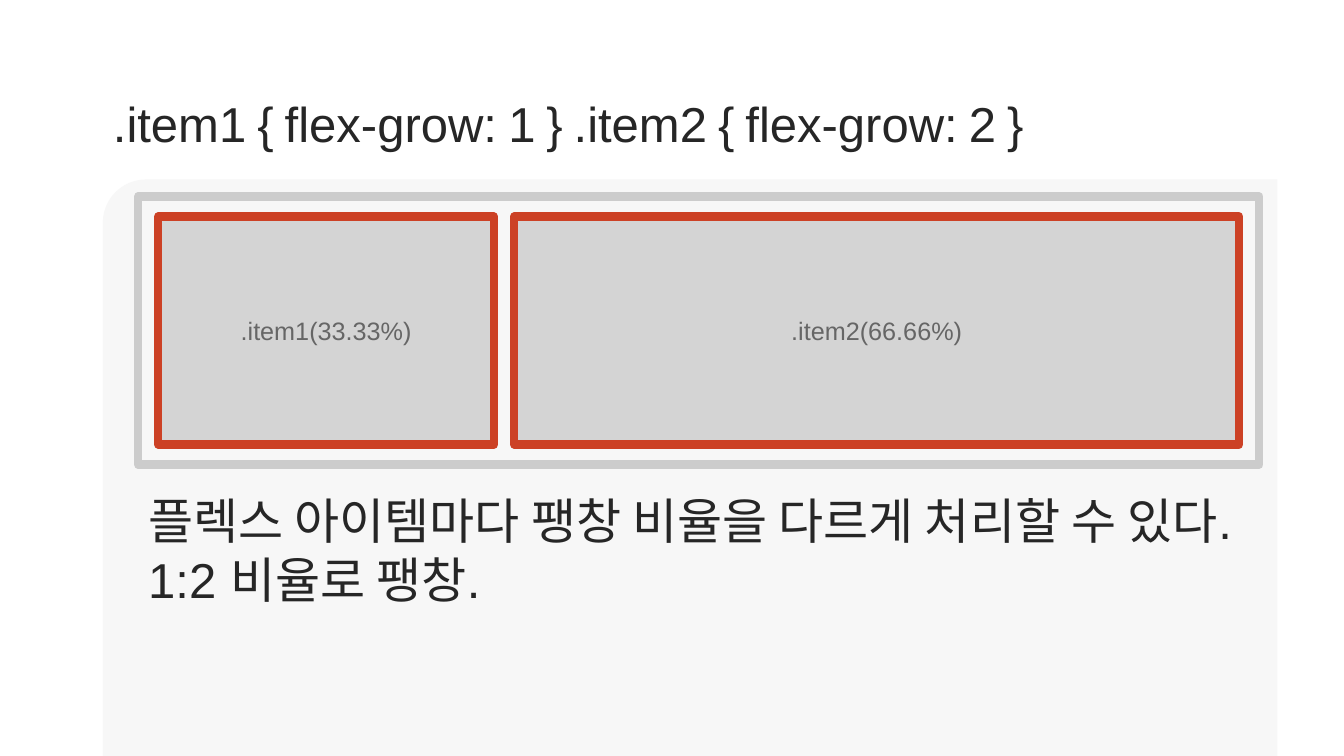
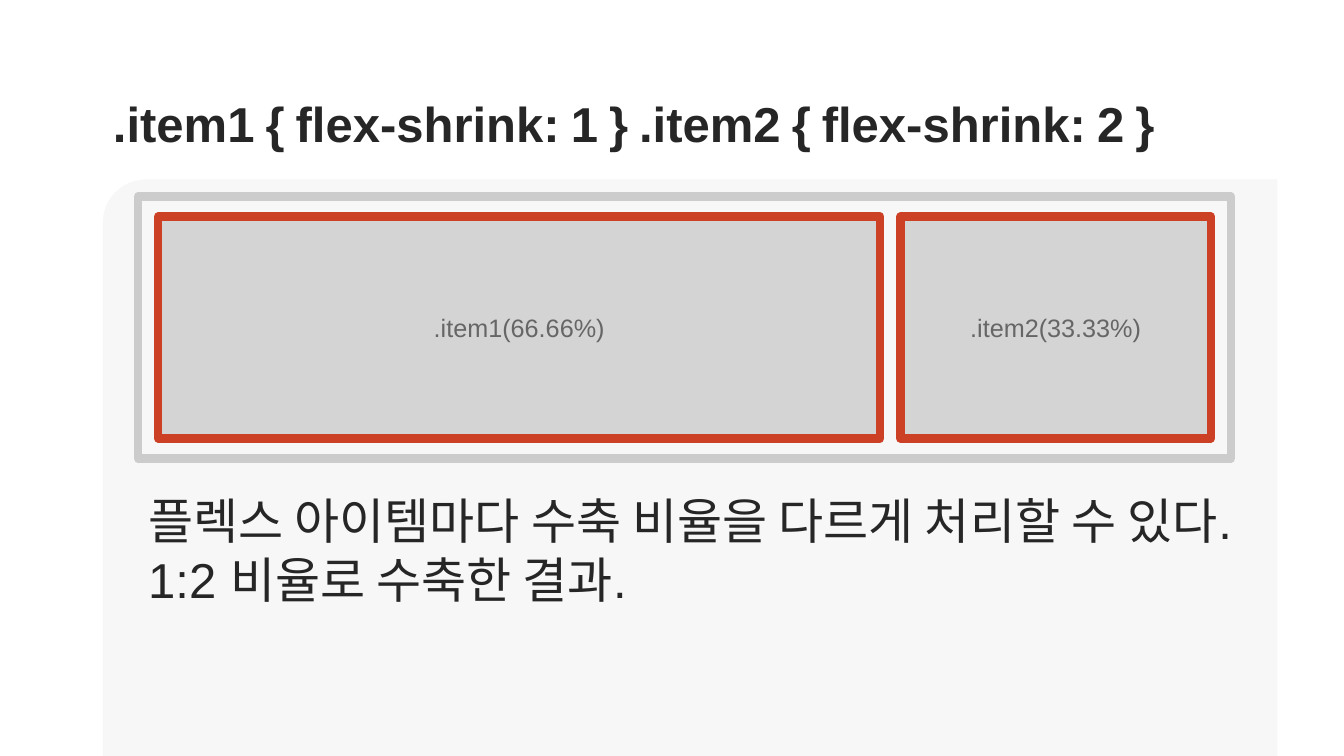
import pptx
import pptx.util
import pptx.dml.color
import pptx.enum.shapes
import pptx.enum.text
import pptx.oxml.ns
import lxml.etree

Inches = pptx.util.Inches
SHAPES = pptx.enum.shapes.MSO_SHAPE
ANCHOR = pptx.enum.text.MSO_ANCHOR
ALIGN = pptx.enum.text.PP_ALIGN
qn = pptx.oxml.ns.qn

COLORS = {"panel": "F7F7F7", "gray": "CCCCCC", "red": "CC4125", "label": "666666", "text": "262626"}
FRAME_LEFT, FRAME_TOP = 1.37, 1.95
INSET = 0.2

SLIDES = [
    {
        "title": ".item1 { flex-grow: 1 } .item2 { flex-grow: 2 }",
        "bold": False,
        "frame": (11.12, 2.66),
        "first_width": 3.33,
        "labels": [".item1(33.33%)", ".item2(66.66%)"],
        "body": ["플렉스 아이템마다 팽창 비율을 다르게 처리할 수 있다.", "1:2 비율로 팽창."],
    },
    {
        "title": ".item1 { flex-shrink: 1 } .item2 { flex-shrink: 2 }",
        "bold": True,
        "frame": (10.84, 2.6),
        "first_width": 7.16,
        "labels": [".item1(66.66%)", ".item2(33.33%)"],
        "body": ["플렉스 아이템마다 수축 비율을 다르게 처리할 수 있다.", "1:2 비율로 수축한 결과."],
    },
]


def add_box(shapes, kind, box, fill=None, line=None):
    shape = shapes.add_shape(kind, *[Inches(value) for value in box])
    shape.shadow.inherit = False
    if fill:
        shape.fill.solid()
        shape.fill.fore_color.rgb = pptx.dml.color.RGBColor.from_string(COLORS[fill])
    else:
        shape.fill.background()
    if line:
        shape.line.color.rgb = pptx.dml.color.RGBColor.from_string(COLORS[line])
        shape.line.width = pptx.util.Pt(6)
    else:
        shape.line.fill.background()
    return shape


def add_run(paragraph, text, size, color, bold=False):
    run = paragraph.add_run()
    run.text = text
    font_format = {"name": "Arial", "size": pptx.util.Pt(size), "bold": bold}
    for name, value in font_format.items():
        setattr(run.font, name, value)
    run.font.color.rgb = pptx.dml.color.RGBColor.from_string(COLORS[color])


presentation = pptx.Presentation()
presentation.slide_width = Inches(13.33)
presentation.slide_height = Inches(7.5)
layout = presentation.slide_layouts[1]

for number, content in enumerate(SLIDES):
    slide = presentation.slides.add_slide(layout)

    if number == 0:
        panel = add_box(slide.shapes, SHAPES.ROUND_1_RECTANGLE, (1.02, 1.78, 11.65, 5.72), "panel")
        panel.adjustments[0] = 0.075
        panel.element.spPr.find(qn("a:xfrm")).set("flipH", "1")
        layout.element.cSld.spTree.insert(2, panel.element)

    title = slide.shapes.title
    body = slide.placeholders[1]
    placeholder_formats = [
        (title, (1.02, 0.88, 12.31, 0.67), ANCHOR.MIDDLE),
        (body, (1.37, 4.82, 11.29, 1.3), ANCHOR.TOP),
    ]
    for placeholder, box, anchor in placeholder_formats:
        for name, value in zip(("left", "top", "width", "height"), box):
            setattr(placeholder, name, Inches(value))
        frame_format = {
            "vertical_anchor": anchor,
            "word_wrap": True,
            "auto_size": pptx.enum.text.MSO_AUTO_SIZE.NONE,
        }
        for name, value in frame_format.items():
            setattr(placeholder.text_frame, name, value)

    paragraph = title.text_frame.paragraphs[0]
    paragraph.alignment = ALIGN.LEFT
    for index, word in enumerate(content["title"].split()):
        if index:
            add_run(paragraph, " ", 28, "text", content["bold"])
        add_run(paragraph, word, 35, "text", content["bold"])

    for index, text in enumerate(content["body"]):
        paragraph = body.text_frame.add_paragraph() if index else body.text_frame.paragraphs[0]
        paragraph.space_before = pptx.util.Pt(0)
        properties = paragraph._p.get_or_add_pPr()
        properties.set("marL", "0")
        properties.set("indent", "0")
        lxml.etree.SubElement(properties, qn("a:buNone"))
        add_run(paragraph, text, 35, "text")

    group = slide.shapes.add_group_shape()
    frame_width, frame_height = content["frame"]
    add_box(group.shapes, SHAPES.RECTANGLE, (FRAME_LEFT, FRAME_TOP, frame_width, frame_height), line="gray")

    first_width = content["first_width"]
    item_widths = [first_width, frame_width - 3 * INSET - first_width]
    item_left = FRAME_LEFT + INSET
    for label, item_width in zip(content["labels"], item_widths):
        box = (item_left, FRAME_TOP + INSET, item_width, frame_height - 2 * INSET)
        item = add_box(group.shapes, SHAPES.RECTANGLE, box, "gray", "red")
        fill_color = item.element.spPr.find(qn("a:solidFill"))[0]
        lxml.etree.SubElement(fill_color, qn("a:alpha"), val="80000")
        item.text_frame.vertical_anchor = ANCHOR.MIDDLE
        paragraph = item.text_frame.paragraphs[0]
        paragraph.alignment = ALIGN.CENTER
        add_run(paragraph, label, 18, "label")
        item_left += item_width + INSET

presentation.save("out.pptx")
